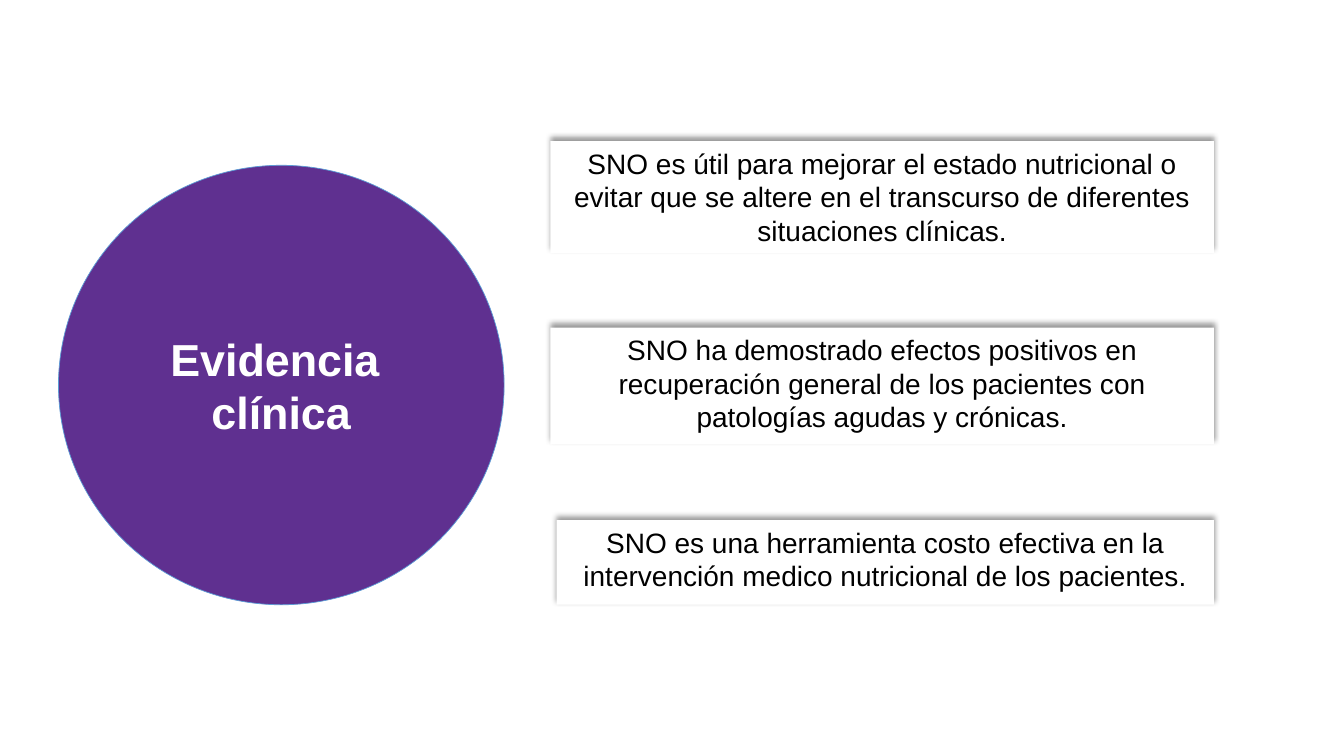
from dataclasses import dataclass

from lxml import etree
from pptx import Presentation
from pptx.dml.color import RGBColor
from pptx.enum import shapes, text
from pptx.oxml import ns
from pptx.util import Inches, Pt

# Content: topic, then statements as (left, top, height, words)
TOPIC = ["Evidencia ", "clínica"]
CLAIMS = [
    (5.46, 1.40, 1.11, "SNO es útil para mejorar el estado nutricional o evitar que "
     "se altere en el transcurso de diferentes situaciones clínicas."),
    (5.46, 3.25, 1.16, "SNO ha demostrado efectos positivos en recuperación general "
     "de los pacientes con patologías agudas y crónicas."),
    (5.52, 5.16, 0.84, "SNO es una herramienta costo efectiva en la intervención "
     "medico nutricional de los pacientes."),
]
RIGHT = 12.04  # shared right edge of the statements


@dataclass(frozen=True)
class Theme:
    font: str = "Arial"
    white: str = "FFFFFF"
    black: str = "000000"
    purple: str = "5F3090"
    blue: str = "5B9BD5"
    large: int = 32
    body: int = 20


theme = Theme()


def add_box(slide, kind, area, fill, lines, size, color, bold=False):
    """Add a filled shape with centred text."""
    box = slide.shapes.add_shape(kind, *map(Inches, area))
    box.shadow.inherit = False
    box.fill.solid()
    box.fill.fore_color.rgb = RGBColor.from_string(fill)
    box.line.fill.background()
    frame = box.text_frame
    frame.word_wrap = True
    frame.text = "\n".join(lines)
    for para in frame.paragraphs:
        para.alignment = text.PP_ALIGN.CENTER
        font = para.font
        font.name, font.size, font.bold = theme.font, Pt(size), bold
        font.color.rgb = RGBColor.from_string(color)
    return box


def cast_shadow(box):
    """Give a box a soft shadow above its top edge."""
    effects = box._element.spPr.find(ns.qn("a:effectLst"))
    outer = etree.SubElement(effects, ns.qn("a:outerShdw"), blurRad=str(Pt(4)),
                             dist=str(Pt(3)), dir=str(270 * 60000),
                             algn="b", rotWithShape="0")
    color = etree.SubElement(outer, ns.qn("a:srgbClr"), val=theme.black)
    etree.SubElement(color, ns.qn("a:alpha"), val="40000")


def main():
    deck = Presentation()
    deck.slide_width, deck.slide_height = Inches(13.33), Inches(7.5)
    slide = deck.slides.add_slide(deck.slide_layouts[6])
    kinds = shapes.MSO_SHAPE

    # Statements
    for left, top, height, words in CLAIMS:
        box = add_box(slide, kinds.RECTANGLE, (left, top, RIGHT - left, height),
                      theme.white, [words], theme.body, theme.black)
        box.text_frame.vertical_anchor = text.MSO_ANCHOR.TOP
        cast_shadow(box)

    # Topic circle
    disc = add_box(slide, kinds.OVAL, (0.58, 1.64, 4.42, 4.36), theme.purple,
                   TOPIC, theme.large, theme.white, bold=True)
    disc.text_frame.vertical_anchor = text.MSO_ANCHOR.MIDDLE
    disc.line.color.rgb = RGBColor.from_string(theme.blue)
    disc.line.width = Pt(0.5)

    deck.save("out.pptx")


if __name__ == "__main__":
    main()
